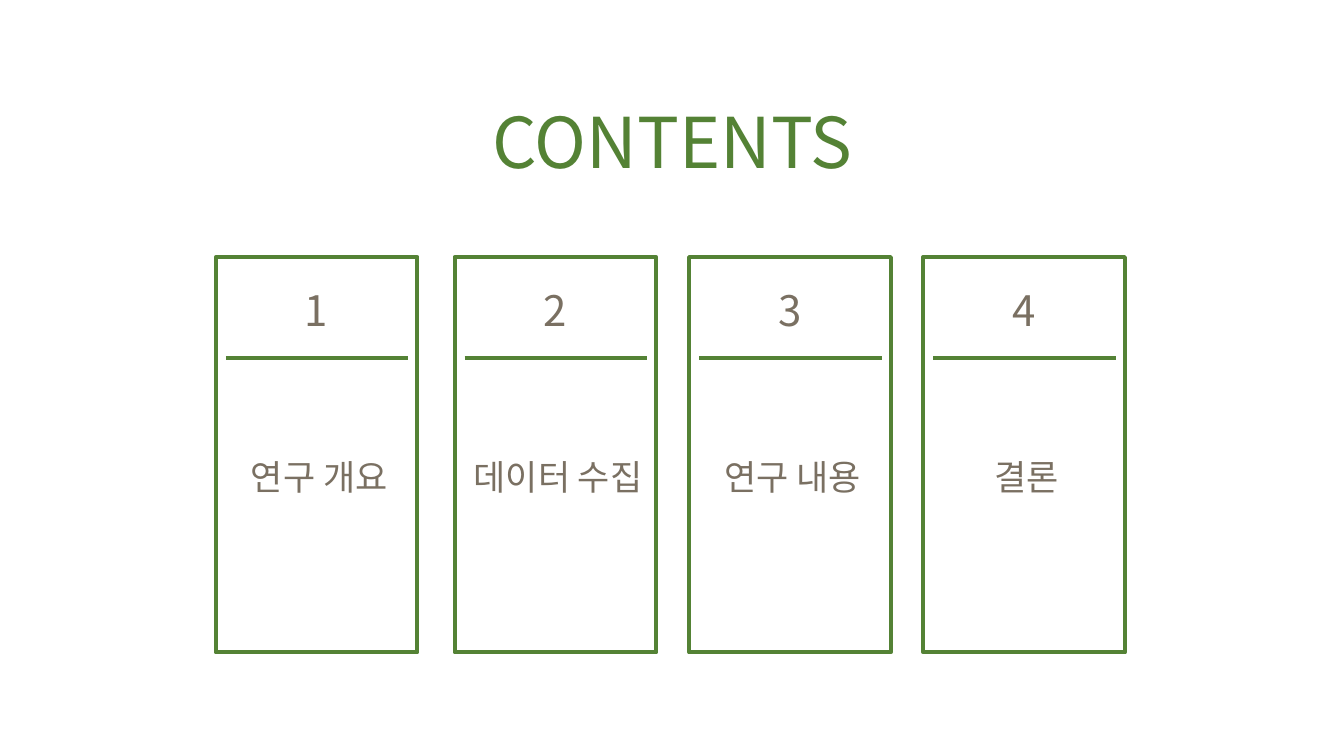
from dataclasses import dataclass

from lxml.etree import SubElement
from pptx import Presentation
from pptx.dml.color import RGBColor
from pptx.enum.shapes import MSO_CONNECTOR as Connector, MSO_SHAPE as Shape
from pptx.enum.text import MSO_ANCHOR as Anchor, MSO_AUTO_SIZE as AutoSize, PP_ALIGN as Align
from pptx.oxml.ns import qn
from pptx.util import Cm, Pt


@dataclass(frozen=True)
class Theme:
    font: str = "Noto Sans CJK KR"
    green: RGBColor = RGBColor(0x54, 0x82, 0x35)
    taupe: RGBColor = RGBColor(0x7A, 0x70, 0x62)
    title_size: int = 50
    number_size: int = 30
    label_size: int = 25
    frame_width: float = 3
    rule_width: float = 2.25


THEME = Theme()
CARD_TOP, CARD_WIDTH, CARD_HEIGHT = 6.48, 5.08, 9.96
# Left edge of each card in cm, with its label
CARDS = [(5.44, "연구 개요"), (11.46, "데이터 수집"), (17.37, "연구 내용"), (23.27, "결론")]


def place(item, left, top, width, height):
    item.left, item.top, item.width, item.height = map(Cm, (left, top, width, height))


def write(box, text, size, color, anchor=Anchor.TOP):
    frame = box.text_frame
    frame.text = text
    frame.word_wrap = True
    frame.auto_size = AutoSize.NONE
    frame.vertical_anchor = anchor
    para = frame.paragraphs[0]
    para.alignment = Align.CENTER
    font = para.runs[0].font
    font.name, font.size = THEME.font, Pt(size)
    font.color.rgb = color
    # Korean glyphs take the East Asian font
    SubElement(para.runs[0]._r.get_or_add_rPr(), qn("a:ea"), typeface=THEME.font)


def add_title(page, left, top, width, height):
    title = page.shapes.title
    place(title, left, top, width, height)
    write(title, "CONTENTS", THEME.title_size, THEME.green)


def add_card(page, left, top, width, height, number, label):
    # Frame
    frame = page.shapes.add_shape(Shape.RECTANGLE, Cm(left), Cm(top), Cm(width), Cm(height))
    frame.shadow.inherit = False
    frame.fill.background()
    frame.line.color.rgb = THEME.green
    frame.line.width = Pt(THEME.frame_width)

    # Number
    side = 1.55
    box = page.shapes.add_textbox(Cm(left + (width - side) / 2), Cm(top + 0.56), Cm(side), Cm(side))
    write(box, str(number), THEME.number_size, THEME.taupe)

    # Rule below the number
    rule_left, rule_top = left + 0.25, top + 2.54
    rule = page.shapes.add_connector(
        Connector.STRAIGHT, Cm(rule_left), Cm(rule_top), Cm(rule_left + 4.6), Cm(rule_top))
    rule.line.color.rgb = THEME.green
    rule.line.width = Pt(THEME.rule_width)
    SubElement(rule._element.spPr, qn("a:effectLst"))

    # Label
    box = page.shapes.add_textbox(Cm(left + 0.13), Cm(top + 4.88), Cm(width - 0.13), Cm(1.32))
    write(box, label, THEME.label_size, THEME.taupe, Anchor.MIDDLE)


def main():
    deck = Presentation()
    deck.slide_width, deck.slide_height = Cm(33.87), Cm(19.05)
    page = deck.slides.add_slide(deck.slide_layouts[5])
    add_title(page, 11.96, 2.36, 9.96, 2.39)
    for number, (left, label) in enumerate(CARDS, start=1):
        add_card(page, left, CARD_TOP, CARD_WIDTH, CARD_HEIGHT, number, label)
    deck.save("out.pptx")


if __name__ == "__main__":
    main()
